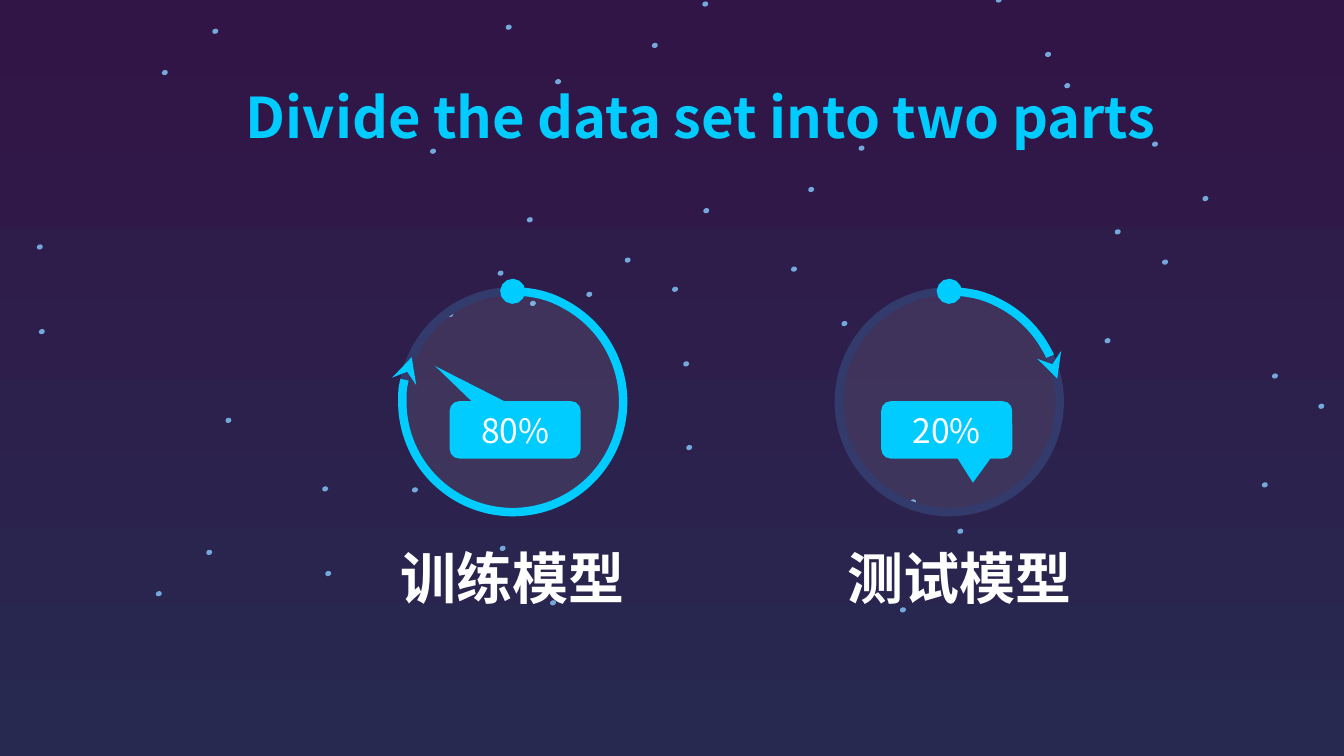
from lxml import etree
from pptx import Presentation
from pptx.dml.color import RGBColor
from pptx.enum import shapes, text
from pptx.oxml import ns
from pptx.util import Inches, Pt

NIGHT_TOP = RGBColor(0x32, 0x15, 0x47)
NIGHT_BOTTOM = RGBColor(0x27, 0x29, 0x50)
STAR = RGBColor(0x73, 0xA9, 0xDB)
TRACK = RGBColor(0x33, 0x3B, 0x6C)
CYAN = RGBColor(0x00, 0xCC, 0xFF)
WHITE = RGBColor(0xFF, 0xFF, 0xFF)

# Left and top of each star
STARS = [
    (11.43, 1.4), (6.81, 4.41), (8.02, 1.85), (8.52, 1.44), (5.82, 2.89),
    (6.78, 3.58), (10.56, 0.82), (11.93, 1.94), (13.08, 4), (12.62, 3.7),
    (12.52, 4.78), (7.85, 2.64), (3.23, 5.66), (4.44, 3.09), (4.94, 2.68),
    (2.24, 4.14), (3.2, 4.82), (6.98, 2.06), (8.35, 3.18), (9.5, 5.24),
    (9.03, 4.95), (8.93, 6.02), (5.02, 0.24), (0.39, 3.26), (1.61, 0.69),
    (2.11, 0.28), (0.37, 2.42), (5.51, 0.78), (6.67, 2.84), (6.2, 2.55),
    (6.1, 3.62), (9.88, -0.03), (5.26, 2.98), (6.47, 0.42), (6.97, 0.01),
    (4.27, 1.47), (5.23, 2.15), (10.37, 0.51), (11.53, 2.57), (11.06, 2.27),
    (10.96, 3.35), (4.96, 5.41), (1.55, 5.86), (2.05, 5.45), (4.09, 4.83),
    (5.46, 5.95),
]

# Dial left, arc end, callout left, callout tip, share, label left, label
DIALS = [
    (8.32, 208.77, 8.74, (0.2, 0.92), "20%", 8.2, "测试模型"),
    (3.99, 122.25, 4.46, (-0.61, -1.11), "80%", 3.76, "训练模型"),
]


class SlideBuilder:
    font = "Noto Sans CJK SC"
    dial_top, dial_size = 2.89, 2.19

    def __init__(self, prs):
        self.s = prs.slides.add_slide(prs.slide_layouts[5])

    def background(self, top, bottom):
        fill = self.s.background.fill
        fill.gradient()
        fill.gradient_angle = 270
        for stop, color in zip(fill.gradient_stops, (top, bottom)):
            stop.color.rgb = color

    def set_text(self, tf, words, size, color, bold=False):
        tf.text = words
        p = tf.paragraphs[0]
        p.alignment = text.PP_ALIGN.CENTER
        p.font.name, p.font.size, p.font.bold = self.font, Pt(size), bold
        p.font.color.rgb = color
        # East Asian glyphs need their own typeface entry
        props = p._p.get_or_add_pPr().find(ns.qn("a:defRPr"))
        etree.SubElement(props, ns.qn("a:ea"), typeface=self.font)

    def heading(self, sp, left, top, width, words, color):
        sp.left, sp.top = Inches(left), Inches(top)
        sp.width, sp.height = Inches(width), Inches(0.77)
        tf = sp.text_frame
        tf.word_wrap = True
        tf.auto_size = text.MSO_AUTO_SIZE.SHAPE_TO_FIT_TEXT
        tf.vertical_anchor = text.MSO_ANCHOR.TOP
        self.set_text(tf, words, 40, color, bold=True)

    def title(self, *args):
        sp = self.s.shapes.title
        self.s.shapes._spTree.append(sp._element)  # in front of the stars
        self.heading(sp, *args)

    def label(self, *args):
        self.heading(self.s.shapes.add_textbox(0, 0, 0, 0), *args)

    def shape(self, kind, left, top, width, height, fill=None, line=None):
        sp = self.s.shapes.add_shape(
            kind, Inches(left), Inches(top), Inches(width), Inches(height))
        sp.shadow.inherit = False
        if fill is None:
            sp.fill.background()
        else:
            sp.fill.solid()
            sp.fill.fore_color.rgb = fill
        if line is None:
            sp.line.fill.background()
        else:
            sp.line.color.rgb = line
            sp.line.width = Pt(6)
        return sp

    def star(self, left, top):
        sp = self.shape(shapes.MSO_SHAPE.OVAL, left, top, 0.05, 0.06, STAR)
        sp.rotation = 71.4

    def dial(self, left, arc_end):
        box = (left, self.dial_top, self.dial_size, self.dial_size)
        disc = self.shape(shapes.MSO_SHAPE.OVAL, *box, fill=WHITE, line=TRACK)
        color = disc._element.spPr.find(ns.qn("a:solidFill"))[0]
        etree.SubElement(color, ns.qn("a:alpha"), val="9000")
        arc = self.shape(shapes.MSO_SHAPE.ARC, *box, line=CYAN)
        arc.adjustments[0], arc.adjustments[1] = 162, arc_end
        ln = arc._element.spPr.find(ns.qn("a:ln"))
        for end, head in (("a:headEnd", "oval"), ("a:tailEnd", "stealth")):
            etree.SubElement(ln, ns.qn(end), type=head)

    def callout(self, left, tip, words):
        sp = self.shape(shapes.MSO_SHAPE.ROUNDED_RECTANGULAR_CALLOUT,
                        left, 3.98, 1.3, 0.57, CYAN)
        sp.adjustments[0], sp.adjustments[1] = tip
        sp.text_frame.vertical_anchor = text.MSO_ANCHOR.MIDDLE
        self.set_text(sp.text_frame, words, 24, WHITE)


def main():
    prs = Presentation()
    prs.slide_width, prs.slide_height = Inches(13.33), Inches(7.5)
    b = SlideBuilder(prs)

    # Night sky
    b.background(NIGHT_TOP, NIGHT_BOTTOM)
    for left, top in STARS:
        b.star(left, top)

    # Title
    b.title(2.07, 0.77, 9.76, "Divide the data set into two parts", CYAN)

    # Shares of the data set
    for left, arc_end, call_left, tip, share, label_left, name in DIALS:
        b.dial(left, arc_end)
        b.callout(call_left, tip, share)
        b.label(label_left, 5.34, 2.64, name, WHITE)

    prs.save("out.pptx")


if __name__ == "__main__":
    main()
